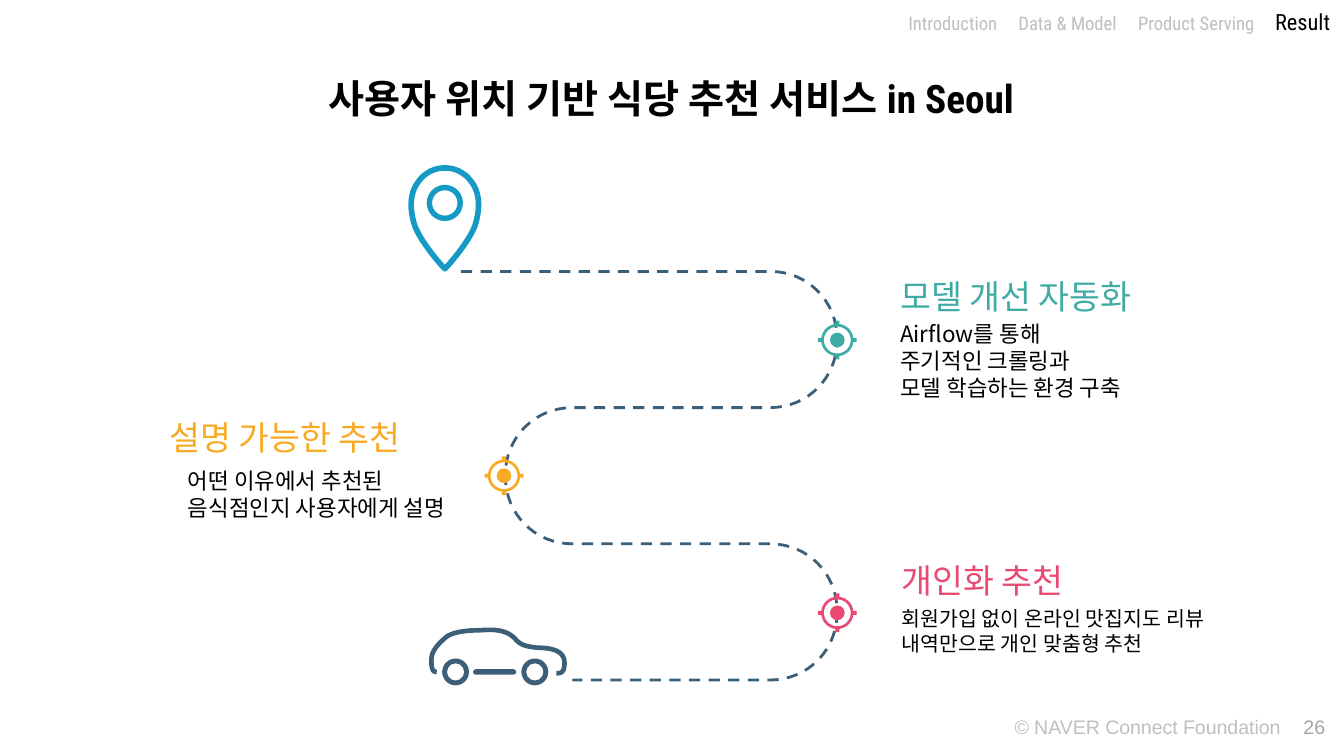
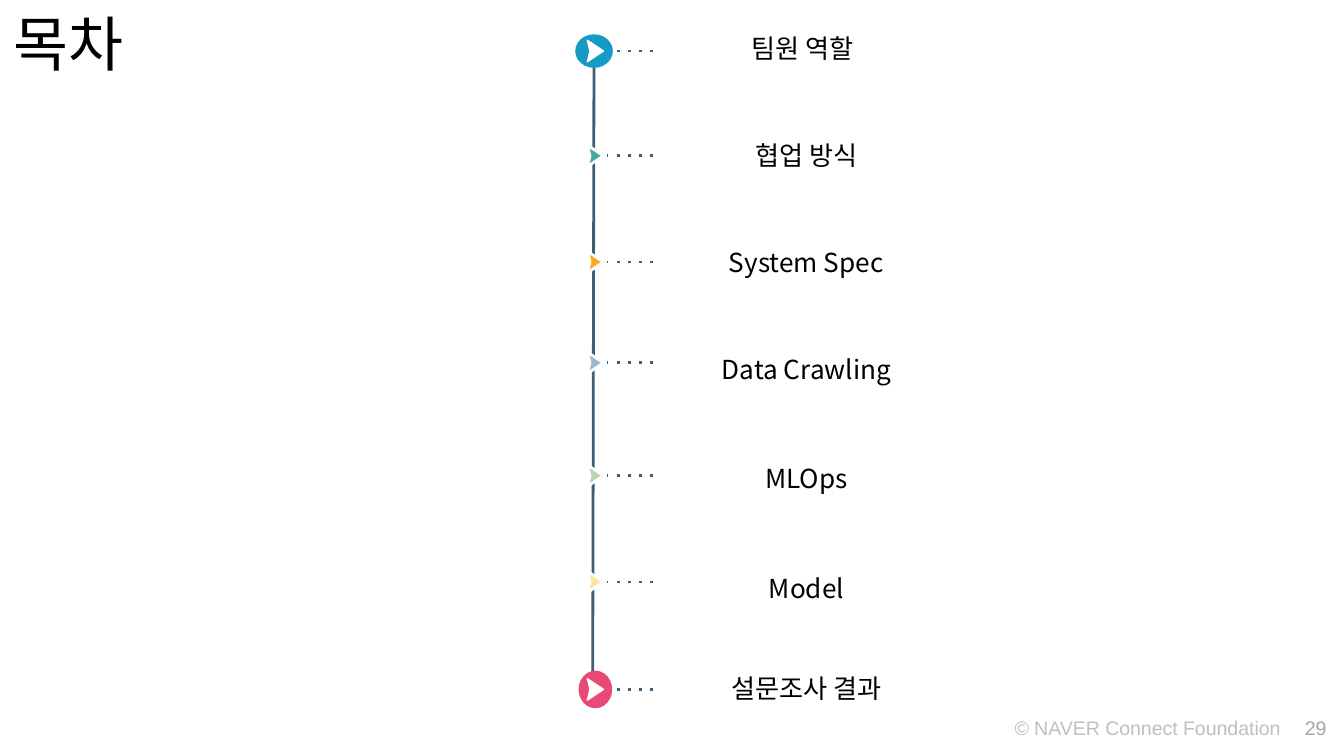
from math import asin, cos, pi, sin

from lxml.etree import SubElement
from pptx import Presentation
from pptx.dml.color import RGBColor
from pptx.enum.dml import MSO_LINE
from pptx.enum.shapes import MSO_CONNECTOR, MSO_SHAPE
from pptx.enum.text import MSO_ANCHOR, PP_ALIGN
from pptx.oxml.ns import qn
from pptx.util import Inches, Pt

BLACK = RGBColor(0x00, 0x00, 0x00)
WHITE = RGBColor(0xFF, 0xFF, 0xFF)
LIGHT_GRAY = RGBColor(0xBF, 0xBF, 0xBF)
GRAY = RGBColor(0xA5, 0xA5, 0xA5)
NAVY = RGBColor(0x3C, 0x5F, 0x79)
BLUE = RGBColor(0x15, 0x9A, 0xC6)
TEAL = RGBColor(0x3F, 0xAB, 0xA5)
ORANGE = RGBColor(0xF8, 0xAA, 0x25)
PINK = RGBColor(0xE9, 0x49, 0x74)
PALE_BLUE = RGBColor(0x99, 0xB6, 0xCC)
PALE_GREEN = RGBColor(0xB6, 0xD7, 0xA8)
PALE_YELLOW = RGBColor(0xFF, 0xE5, 0x99)
NOTO, ROBOTO, ARIAL = "Noto Sans CJK KR", "Roboto Condensed", "Arial"


def add_text(s, box, paragraphs, size, color=BLACK, font=NOTO, bold=None,
             align=PP_ALIGN.LEFT, anchor=MSO_ANCHOR.TOP, inset=0.1, spacing=None, tabs=()):
    """Each paragraph is a list of (text, changed font values) runs."""
    tf = s.shapes.add_textbox(*map(Inches, box)).text_frame
    tf.word_wrap = True
    tf.vertical_anchor = anchor
    tf.margin_top = tf.margin_bottom = Inches(inset)
    for i, runs in enumerate(paragraphs):
        p = tf.add_paragraph() if i else tf.paragraphs[0]
        p.alignment = align
        p.line_spacing = spacing
        if tabs:
            tab_list = SubElement(p._p.get_or_add_pPr(), qn("a:tabLst"))
            for pos in tabs:
                SubElement(tab_list, qn("a:tab"), pos=str(Inches(pos)), algn="l")
        for text, changes in runs:
            r = p.add_run()
            r.text = text
            values = {"size": Pt(size), "name": font, "bold": bold, "color": color} | changes
            r.font.color.rgb = values.pop("color")
            for name, value in values.items():
                setattr(r.font, name, value)
            SubElement(r._r.get_or_add_rPr(), qn("a:ea"), typeface=values["name"])


def add_outline(s, contours, fill=None, line=None, width=1.5, close=True):
    """Contours hold (x, y) points and (x1, y1, x2, y2, x, y) Bezier curves."""
    builder = None
    for start, *parts in contours:
        points = [start]
        for part in parts:
            if len(part) == 2:
                points.append(part)
                continue
            x0, y0 = points[-1]
            x1, y1, x2, y2, x3, y3 = part
            for t in (n / 16 for n in range(1, 17)):
                a, b, c, d = (1 - t) ** 3, 3 * t * (1 - t) ** 2, 3 * t * t * (1 - t), t ** 3
                points.append((a * x0 + b * x1 + c * x2 + d * x3,
                               a * y0 + b * y1 + c * y2 + d * y3))
        points = [(Inches(x), Inches(y)) for x, y in points]
        if builder is None:
            builder = s.shapes.build_freeform(*points[0])
        else:
            builder.move_to(*points[0])
        builder.add_line_segments(points[1:], close=close)
    sp = builder.convert_to_shape()
    sp.shadow.inherit = False
    for paint, color in ((sp.fill, fill), (sp.line.fill, line)):
        if color is None:
            paint.background()
        else:
            paint.solid()
            paint.fore_color.rgb = color
    if line is not None:
        sp.line.width = Pt(width)
    return sp


prs = Presentation()
prs.slide_width = Inches(10)
prs.slide_height = prs.slide_width * 9 // 16
blank = prs.slide_layouts[6]
route, contents = prs.slides.add_slide(blank), prs.slides.add_slide(blank)

# Footers
for s, number, left, top in ((route, "26", 9.6, 5.25), (contents, "29", 9.61, 5.26)):
    footer = {"size": 10.5, "font": ARIAL, "inset": 0.05, "spacing": 1.1}
    add_text(s, (left, top, 0.39, 0.28), [[(number, {})]], color=GRAY, **footer)
    add_text(s, (7.45, top, 2.39, 0.28), [[("© NAVER Connect Foundation", {})]],
             color=LIGHT_GRAY, **footer)

# Slide 1: route through the service's features
s = route
add_text(s, (6.66, 0.01, 3.34, 0.3),
         [[("Introduction\tData & Model\tProduct Serving\t", {}),
           ("Result", {"size": Pt(12), "color": BLACK})]],
         10, LIGHT_GRAY, ROBOTO, inset=0.05, tabs=(0.82, 1.71, 2.73))
add_text(s, (1.96, 0.52, 6.07, 0.42),
         [[("사용자 위치 기반 식당 추천 서비스 ", {}), ("in Seoul", {"name": ROBOTO})]],
         21, bold=True, align=PP_ALIGN.CENTER, anchor=MSO_ANCHOR.MIDDLE)

road = [(3.43, 2.02)]
pitch, radius = (5.06 - 2.02) / 3, 0.5
for i, (x, side) in enumerate(((5.73, 1), (4.26, -1), (5.73, 1))):
    y = 2.02 + pitch * i
    edge, pull = x + side * radius, x + side * 0.28
    road += [(x, y),
             (pull, y, edge, y + 0.22, edge, y + pitch / 2),
             (edge, y + pitch - 0.22, pull, y + pitch, x, y + pitch)]
road.append((4.26, 5.06))
add_outline(s, [road], line=NAVY, close=False).line.dash_style = MSO_LINE.DASH

pin = [(3.31, 1.25),
       (3.37, 1.25, 3.43, 1.27, 3.48, 1.32),
       (3.58, 1.42, 3.57, 1.55, 3.54, 1.66),
       (3.51, 1.77, 3.36, 1.95, 3.31, 2.0),
       (3.26, 1.95, 3.11, 1.77, 3.08, 1.66),
       (3.05, 1.55, 3.04, 1.42, 3.14, 1.32),
       (3.19, 1.27, 3.25, 1.25, 3.31, 1.25)]
add_outline(s, [pin], line=BLUE, width=3)

car_body = [(3.25, 5),
            (3.22, 5, 3.21, 4.98, 3.21, 4.91),
            (3.21, 4.85, 3.25, 4.8, 3.32, 4.74),
            (3.36, 4.71, 3.44, 4.69, 3.57, 4.69),
            (3.69, 4.68, 3.77, 4.69, 3.83, 4.75),
            (3.88, 4.81, 3.93, 4.81, 4, 4.82),
            (4.14, 4.82, 4.2, 4.86, 4.2, 4.93),
            (4.2, 5, 4.18, 5.01, 4.14, 5.01)]
add_outline(s, [car_body], line=NAVY, width=2.5, close=False)

targets = ((6.23, 2.53, TEAL), (3.75, 3.54, ORANGE), (6.23, 4.56, PINK))
round_parts = [(MSO_SHAPE.DONUT, 3.31, 1.51, 0.27, 0.27, BLUE, 0.15),
               (MSO_SHAPE.DONUT, 3.39, 5, 0.2, 0.2, NAVY, 0.18),
               (MSO_SHAPE.DONUT, 3.98, 5, 0.2, 0.2, NAVY, 0.18),
               (MSO_SHAPE.ROUNDED_RECTANGLE, 3.68, 5, 0.32, 0.04, NAVY, 0.5)]
round_parts += [(MSO_SHAPE.OVAL, x, y, 0.11, 0.11, color, None) for x, y, color in targets]
end_dots = [(MSO_SHAPE.OVAL, 4.42, 0.38, 0.28, 0.25, BLUE, None),
            (MSO_SHAPE.OVAL, 4.43, 5.13, 0.25, 0.28, PINK, None)]

for x, y, color in targets:
    ring, hole, tick, half = 0.12, 0.1, 0.29 / 2, 0.03 / 2
    gap = asin(half / ring)
    outer, inner = [], []
    for quarter in range(4):
        turn = quarter * pi / 2
        polar = [(ring, -gap), (tick, -half / tick), (tick, half / tick)]
        polar += [(ring, gap + (pi / 2 - 2 * gap) * n / 8) for n in range(9)]
        outer += [(x + r * cos(turn + a), y + r * sin(turn + a)) for r, a in polar]
        inner += [(x + hole * cos(turn + n * pi / 16), y + hole * sin(turn + n * pi / 16))
                  for n in range(8)]
    add_outline(s, [outer, inner], fill=color)

features = (
    ("모델 개선 자동화", TEAL, (6.6, 2.01, 2.31, 0.39), PP_ALIGN.LEFT,
     ("Airflow를 통해", "주기적인 크롤링과", "모델 학습하는 환경 구축"), 12, (6.6, 2.36)),
    ("설명 가능한 추천", ORANGE, (0.67, 3.06, 2.41, 0.39), PP_ALIGN.RIGHT,
     ("어떤 이유에서 추천된", "음식점인지 사용자에게 설명"), 12, (1.3, 3.35)),
    ("개인화 추천", PINK, (6.61, 4.12, 2.31, 0.39), PP_ALIGN.LEFT,
     ("회원가입 없이 온라인 맛집지도 리뷰 내역만으로 개인 맞춤형 추천",), 11, (6.61, 4.37)),
)
for heading, color, box, align, lines, size, corner in features:
    add_text(s, (*corner, 2.55, 0.65), [[(line, {})] for line in lines], size,
             anchor=MSO_ANCHOR.MIDDLE)
    add_text(s, box, [[(heading, {})]], 18, color, align=align, anchor=MSO_ANCHOR.MIDDLE)

# Slide 2: table of contents on a timeline
s = contents
add_text(s, (0, 0, 2.63, 0.64), [[("목차", {})]], 32, inset=0.05)
chapters = (
    ("팀원 역할", 0.38, 5.11, 0.14, WHITE),
    ("협업 방식", 1.16, 5.14, 0.94, TEAL),
    ("System Spec", 1.95, 5.14, 1.73, ORANGE),
    ("Data Crawling", 2.7, 5.14, 2.53, PALE_BLUE),
    ("MLOps", 3.54, 5.14, 3.34, PALE_GREEN),
    ("Model", 4.33, 5.14, 4.16, PALE_YELLOW),
    ("설문조사 결과", 5.13, 5.14, 4.9, WHITE),
)
links = [(4.42, 0.37, 4.41, 5.17)] + [(4.86, y, 4.52, y) for _, y, *_ in chapters]
for i, ends in enumerate(links):
    c = s.shapes.add_connector(MSO_CONNECTOR.STRAIGHT, *map(Inches, ends))
    c.line.color.rgb = NAVY
    c.line.width = Pt(1.5)
    if i:
        c.line.dash_style = MSO_LINE.ROUND_DOT
        c.line._ln.find(qn("a:prstDash")).set("val", "dot")
    SubElement(c._element.spPr, qn("a:effectLst"))

for s, parts in ((route, round_parts), (contents, end_dots)):
    for kind, x, y, w, h, color, adjustment in parts:
        sp = s.shapes.add_shape(kind, *map(Inches, (x - w / 2, y - h / 2, w, h)))
        sp.shadow.inherit = False
        sp.fill.solid()
        sp.fill.fore_color.rgb = color
        sp.line.fill.background()
        if adjustment is not None:
            sp.adjustments[0] = adjustment

for label, y, left, top, color in chapters:
    arrow = [(4.49, y), (4.37, y - 0.08), (4.39, y), (4.37, y + 0.08)]
    add_outline(contents, [arrow], color, WHITE, 0.75 if color == WHITE else 1.5)
    add_text(contents, (left, top, 1.72, 0.44), [[(label, {})]], 14, align=PP_ALIGN.CENTER)

prs.save("out.pptx")
